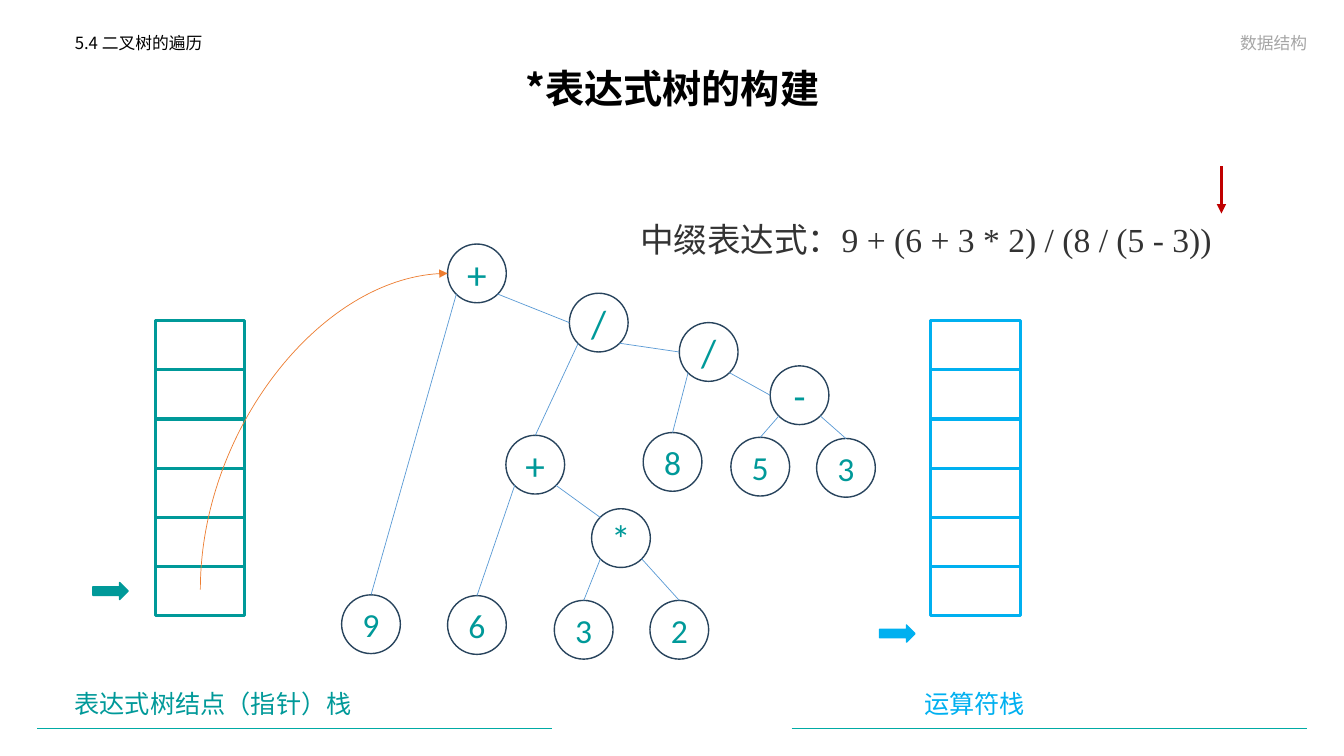
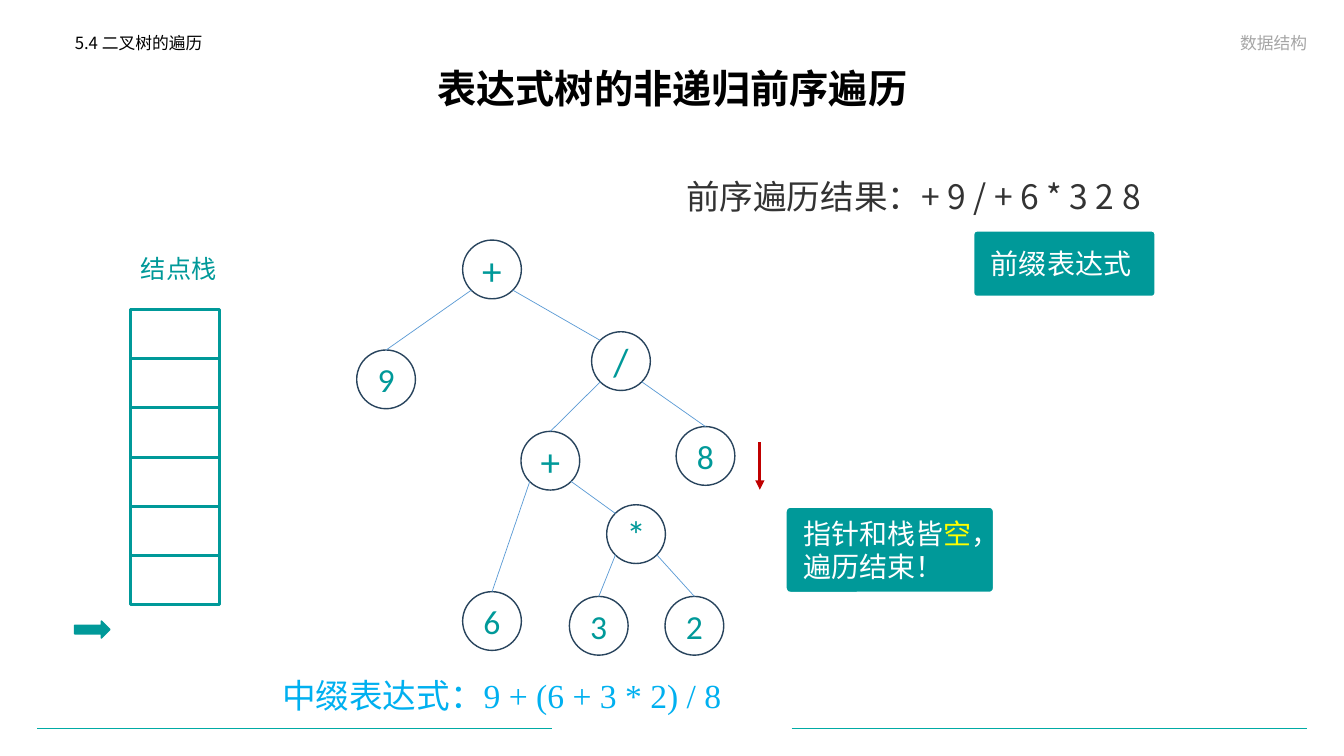
from collections import namedtuple
from lxml.etree import SubElement
from pptx import Presentation
from pptx.dml.color import RGBColor
from pptx.enum.shapes import MSO_CONNECTOR as Link, MSO_SHAPE as Geom
from pptx.enum.text import MSO_ANCHOR as Anchor, MSO_AUTO_SIZE as Auto, PP_ALIGN as Align
from pptx.oxml.ns import qn
from pptx.util import Cm, Pt

HUES = {
    "white": "FFFFFF", "black": "000000", "grey": "A6A6A6", "dark": "333333",
    "teal": "009999", "blue": "00B0F0", "band": "00ABA5",
    "ring": "28445D", "edge": "5B9BD5", "red": "C00000", "orange": "ED7D31",
    "yellow": "FFFF00",
}
SANS, SERIF, ROUND = "Noto Sans CJK SC", "Times New Roman", "Calibri"
CELL_W, CELL_H, CELLS = 2.26, 1.24, 6
DISC = 1.48
# Points on a node, as shares of its diameter
TOP, TOP_LEFT, LEFT = (0.5, 0), (0.15, 0.15), (0, 0.5)
LOW_LEFT, LOW_RIGHT = (0.15, 0.85), (0.85, 0.85)

# dx and dy are measured from the parent; site is where the edge arrives
Node = namedtuple("Node", "sign dx dy kids site", defaults=((), TOP))


def hue(name):
    return RGBColor.from_string(HUES[name])


def box(left, top, width, height):
    return Cm(left), Cm(top), Cm(width), Cm(height)


def style(para, size, tint, font=SANS, bold=False):
    for run in para.runs:
        run.font.size, run.font.bold, run.font.name = Pt(size), bold, font
        run.font.color.rgb = hue(tint)
        SubElement(run.font._element, qn("a:ea"), typeface=SANS)


def hold(slide, idx, area, text, size, tint, align, anchor, bold=False):
    """Move, fill and format one placeholder."""
    shape = slide.placeholders[idx]
    shape.left, shape.top, shape.width, shape.height = box(*area)
    frame = shape.text_frame
    frame.text = text
    frame.auto_size, frame.vertical_anchor = Auto.NONE, anchor
    para = frame.paragraphs[0]
    props = para._p.get_or_add_pPr()
    props.set("marL", "0")
    props.set("indent", "0")
    SubElement(props, qn("a:buNone"))
    para.alignment, para.line_spacing, para.space_before = align, 0.9, Pt(0)
    style(para, size, tint, bold=bold)


def label(slide, area, text, size, tint, font=SANS):
    frame = slide.shapes.add_textbox(*box(*area)).text_frame
    frame.word_wrap, frame.auto_size = False, Auto.SHAPE_TO_FIT_TEXT
    frame.text = text
    style(frame.paragraphs[0], size, tint, font)


def solid(slide, geom, area, fill, line, width=1):
    shape = slide.shapes.add_shape(geom, *box(*area))
    shape.shadow.inherit = False
    if fill:
        shape.fill.solid()
        shape.fill.fore_color.rgb = hue(fill)
    else:
        shape.fill.background()
    shape.line.color.rgb = hue(line)
    shape.line.width = Pt(width)
    return shape


def join(slide, start, end, tint, width=0.5, tip=False, kind=Link.STRAIGHT):
    ends = [Cm(n) for n in (*start, *end)]
    wire = slide.shapes.add_connector(kind, *ends)
    wire.line.color.rgb = hue(tint)
    wire.line.width = Pt(width)
    props = wire.element.spPr
    if tip:
        SubElement(props.find(qn("a:ln")), qn("a:tailEnd"), type="triangle")
    SubElement(props, qn("a:effectLst"))
    return wire


def arc(slide, start, end, tint):
    """Draw a quarter curve that leaves upwards and arrives from the left."""
    mid_x, mid_y = (start[0] + end[0]) / 2, (start[1] + end[1]) / 2
    half_w, half_h = (start[1] - end[1]) / 2, (end[0] - start[0]) / 2
    wire = join(slide, (mid_x + half_w, mid_y + half_h),
                (mid_x - half_w, mid_y - half_h), tint, tip=True, kind=Link.CURVE)
    props = wire.element.spPr
    props.find(qn("a:xfrm")).set("rot", "5400000")
    props.find(qn("a:prstGeom")).set("prst", "curvedConnector2")


def stack(slide, left, top, tint):
    for row in range(CELLS):
        area = left, top + row * CELL_H, CELL_W, CELL_H
        solid(slide, Geom.RECTANGLE, area, "white", tint, 2.25)


def hand(slide, left, top, tint):
    solid(slide, Geom.RIGHT_ARROW, (left, top, 0.89, 0.43), tint, tint)


def mark(slide, left, top):
    join(slide, (left, top), (left, top + 1.19), "red", 2.25, tip=True)


def spot(left, top, site):
    return left + site[0] * DISC, top + site[1] * DISC


def tree(slide, node, left=0, top=0):
    """Draw a node and its subtree, offset from the parent at left, top."""
    left, top = left + node.dx, top + node.dy
    disc = solid(slide, Geom.OVAL, (left, top, DISC, DISC), None, "ring")
    frame = disc.text_frame
    frame.text, frame.vertical_anchor = node.sign, Anchor.MIDDLE
    para = frame.paragraphs[0]
    para.alignment = Align.CENTER
    style(para, 24 if node.sign.isdigit() else 28, "teal", ROUND)
    for kid in node.kids:
        tree(slide, kid, left, top)
        side = LOW_LEFT if kid.dx < 0 else LOW_RIGHT
        join(slide, spot(left, top, side),
             spot(left + kid.dx, top + kid.dy, kid.site), "edge")


def total(dx, dy):
    """Return the subtree of 6 + 3 * 2."""
    times = Node("*", 2.16, 1.85,
                 (Node("3", -0.94, 2.31), Node("2", 1.47, 2.31)), TOP_LEFT)
    return Node("+", dx, dy, (Node("6", -1.47, 4.04), times))


def note(slide, area, parts):
    """Draw a filled note from pairs of text and colour."""
    shape = solid(slide, Geom.ROUNDED_RECTANGLE, area, "teal", "white")
    shape.adjustments[0] = 0.05
    frame = shape.text_frame
    frame.word_wrap, frame.vertical_anchor = True, Anchor.MIDDLE
    frame.margin_left = frame.margin_right = Cm(0.41)
    frame.margin_top = frame.margin_bottom = Cm(0.2)
    para = frame.paragraphs[0]
    para.alignment = Align.LEFT
    for text, _ in parts:
        para.add_run().text = text
    style(para, 20, "white")
    for run, (_, tint) in zip(para.runs, parts):
        run.font.color.rgb = hue(tint)


def page(deck, title):
    """Add a slide with its title, header texts and bottom bands."""
    slide = deck.slides.add_slide(deck.slide_layouts[3])
    hold(slide, 0, (2.34, 1.57, 29.21, 1.45), title, 28, "black",
         Align.CENTER, Anchor.MIDDLE, bold=True)
    hold(slide, 1, (1.63, 0.76, 13.51, 0.91), "5.4 二叉树的遍历", 12, "black",
         Align.LEFT, Anchor.TOP)
    hold(slide, 2, (18.87, 0.58, 14.33, 0.89), "数据结构", 12, "grey",
         Align.RIGHT, Anchor.BOTTOM)
    for left in (0.94, 19.95):
        join(slide, (left, 18.35), (left + 12.98, 18.35), "band")
    return slide


def build(slide):
    label(slide, (15.88, 5.38, 15.24, 1.27),
          "中缀表达式：9 + (6 + 3 * 2) / (8 / (5 - 3))", 24, "dark", SERIF)
    mark(slide, 30.78, 4.19)
    stack(slide, 3.91, 8.08, "teal")
    stack(slide, 23.46, 8.08, "blue")
    hand(slide, 2.34, 14.68, "teal")
    hand(slide, 22.17, 15.75, "blue")
    label(slide, (1.63, 17.22, 7.57, 1.02), "表达式树结点（指针）栈", 18, "teal")
    label(slide, (23.04, 17.22, 3.07, 1.02), "运算符栈", 18, "blue")
    minus = Node("-", 2.29, 1.09,
                 (Node("5", -0.99, 1.8), Node("3", 1.17, 1.83)), LEFT)
    inner = Node("/", 2.77, 0.74, (Node("8", -0.91, 2.77), minus), LEFT)
    outer = Node("/", 3.07, 1.24, (total(-1.6, 3.58), inner), LEFT)
    root = Node("+", 11.28, 6.15, (Node("9", -2.67, 8.84), outer))
    tree(slide, root)
    arc(slide, (5.05, 14.86), spot(root.dx, root.dy, LEFT), "orange")


def walk(slide):
    label(slide, (6.86, 16.87, 12.32, 1.27),
          "中缀表达式：9 + (6 + 3 * 2) / 8", 24, "blue", SERIF)
    label(slide, (17.04, 4.32, 13.82, 1.27),
          "前序遍历结果：+ 9 / + 6 * 3 2 8", 24, "dark")
    label(slide, (3.3, 6.27, 2.44, 1.02), "结点栈", 18, "teal")
    stack(slide, 3.28, 7.8, "teal")
    hand(slide, 1.88, 15.65, "teal")
    mark(slide, 19.15, 11.15)
    ratio = Node("/", 3.25, 2.31,
                 (total(-1.78, 2.51), Node("8", 2.13, 2.39)), TOP_LEFT)
    tree(slide, Node("+", 11.66, 6.05, (Node("9", -2.67, 2.77), ratio)))
    note(slide, (19.81, 12.78, 5.23, 2.15),
         [("指针和栈皆", "white"), ("空", "yellow"), ("，遍历结束！", "white")])
    note(slide, (24.54, 5.82, 4.57, 1.65), [("前缀表达式", "white")])


def main():
    deck = Presentation()
    deck.slide_width, deck.slide_height = Cm(33.87), Cm(19.05)
    build(page(deck, "*表达式树的构建"))
    walk(page(deck, "表达式树的非递归前序遍历"))
    deck.save("out.pptx")


if __name__ == "__main__":
    main()
